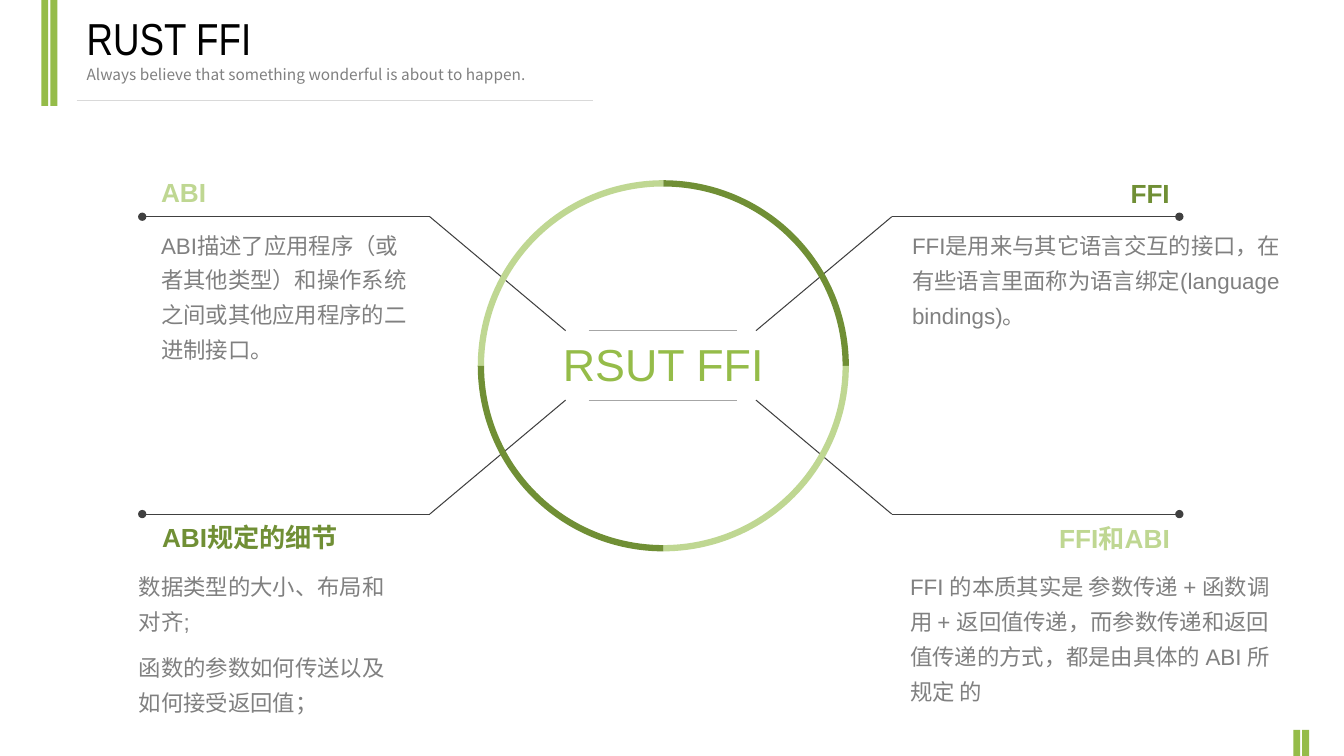
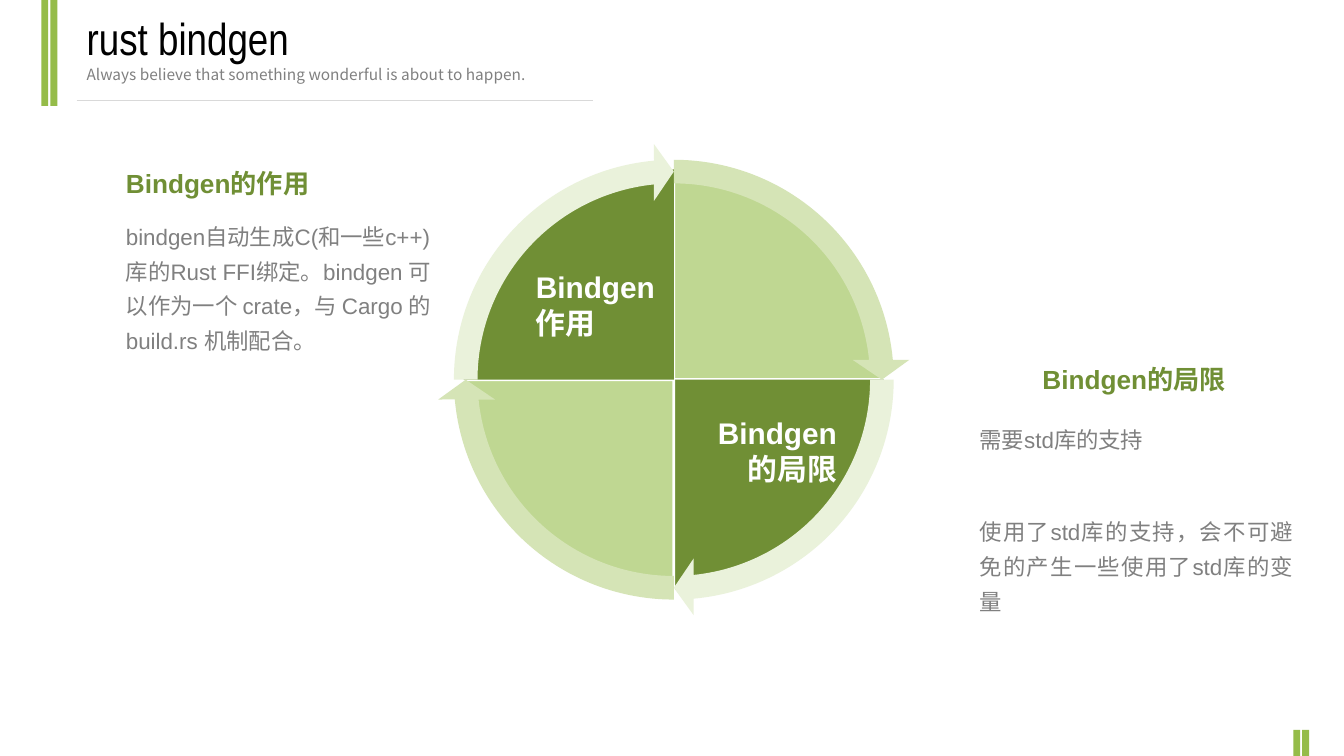
from lxml import etree
from pptx import Presentation
from pptx.dml.color import RGBColor
from pptx.enum.shapes import MSO_CONNECTOR, MSO_SHAPE
from pptx.enum.text import MSO_ANCHOR, PP_ALIGN
from pptx.oxml.ns import qn
from pptx.util import Pt

RECT, ARC, PIE = MSO_SHAPE.RECTANGLE, MSO_SHAPE.ARC, MSO_SHAPE.PIE
CIRCULAR_ARROW = MSO_SHAPE.CIRCULAR_ARROW
STRAIGHT = MSO_CONNECTOR.STRAIGHT
TOP = MSO_ANCHOR.TOP
LEFT, CENTER, RIGHT, JUSTIFY = PP_ALIGN.LEFT, PP_ALIGN.CENTER, PP_ALIGN.RIGHT, PP_ALIGN.JUSTIFY

GREEN, DARK, LIGHT = "95BC49", "708F35", "BFD792"
PALE, PALEST, WHITE, BLACK = "D5E4B6", "EAF2DB", "FFFFFF", "000000"
BODY_GREY, LINE_GREY, RULE_GREY, HEADER_GREY = "808080", "404040", "A6A6A6", "D9D9D9"
SANS, NARROW, CJK = "Arial", "Arial Narrow", "Noto Sans CJK SC"
QUARTER = 54  # a right angle in adjustment units
TAGLINE = "Always\u00a0believe that something\u00a0wonderful is about to happen."


def rgb(color):
    return RGBColor.from_string(color)


class Deck:
    """Holds the style and the current slide."""

    def __init__(self):
        self.prs = Presentation()
        self.prs.slide_width, self.prs.slide_height = Pt(960), Pt(540)
        self.s = None

    def slide(self, title):
        self.s = self.prs.slides.add_slide(self.prs.slide_layouts[5])
        # Bars in the corners and the header rule
        for x, y, h in [(29.5, 0, 75.6), (36, 0, 75.6), (923.8, 521.3, 18.7), (930.2, 521.3, 18.7)]:
            self.shape(RECT, x, y, 5, h, fill=GREEN)
        self.line(54.7, 71.5, 423.4, 71.5, HEADER_GREY)
        # Title and tagline
        sp = self.s.shapes.title
        sp.left, sp.top, sp.width, sp.height = Pt(54.7), Pt(4.3), Pt(624), Pt(46)
        self.set_text(sp.text_frame, [title], 32, BLACK, font=NARROW)
        self.text(54.7, 43.2, 508, [TAGLINE], 11, BODY_GREY, font=CJK)

    def shape(self, kind, x, y, w, h, fill=None, line=None, width=1, adj=()):
        sp = self.s.shapes.add_shape(kind, Pt(x), Pt(y), Pt(w), Pt(h))
        sp.shadow.inherit = False
        for i, value in enumerate(adj):
            sp.adjustments[i] = value
        if fill:
            sp.fill.solid()
            sp.fill.fore_color.rgb = rgb(fill)
        else:
            sp.fill.background()
        if line:
            sp.line.color.rgb = rgb(line)
            sp.line.width = Pt(width)
        else:
            sp.line.fill.background()

    def line(self, x1, y1, x2, y2, color, dot=False):
        sp = self.s.shapes.add_connector(STRAIGHT, Pt(x1), Pt(y1), Pt(x2), Pt(y2))
        sp.line.color.rgb = rgb(color)
        sp.line.width = Pt(0.75)
        props = sp._element.spPr
        if dot:
            etree.SubElement(props.find(qn("a:ln")), qn("a:headEnd"), type="oval")
        etree.SubElement(props, qn("a:effectLst"))

    def set_text(self, tf, lines, size, color, bold=False, align=LEFT, font=SANS,
                 spacing=None, before=0, wrap=True):
        tf.word_wrap = wrap
        tf.vertical_anchor = TOP
        tf.text = "\n".join(lines)
        for p in tf.paragraphs:
            p.alignment = align
            p.line_spacing = spacing
            p.space_before = Pt(before)
            for r in p.runs:
                r.font.size, r.font.bold, r.font.name = Pt(size), bold, font
                r.font.color.rgb = rgb(color)
                etree.SubElement(r._r.get_or_add_rPr(), qn("a:ea"), typeface=CJK)

    def text(self, x, y, w, lines, size, color, h=30, **style):
        sp = self.s.shapes.add_textbox(Pt(x), Pt(y), Pt(w), Pt(h))
        self.set_text(sp.text_frame, lines, size, color, **style)
        return sp.text_frame

    def heading(self, x, y, w, text, color, align=LEFT):
        self.text(x, y, w, [text], 18.7, color, bold=True, align=align)

    def body(self, x, y, w, lines, align=LEFT):
        return self.text(x, y, w, lines, 16, BODY_GREY, h=106,
                         align=align, spacing=1.3, before=8)


def ffi_slide(d):
    d.slide("RUST FFI")

    # Leader lines, mirrored about the centre
    cx, cy = 472, 261
    for side in (-1, 1):
        for end in (-1, 1):
            elbow = cx + side * 165, cy + end * 106.2
            d.line(cx + side * 370.4, elbow[1], *elbow, LINE_GREY, dot=True)
            d.line(*elbow, cx + side * 68, cy + end * 24.8, LINE_GREY)

    # Ring of four arcs, from the upper left clockwise
    for i, color in enumerate([LIGHT, DARK, LIGHT, DARK]):
        start = (2 + i) % 4 * QUARTER
        d.shape(ARC, 343.5, 131, 260.6, 260.6, line=color, width=4.5,
                adj=(start, (start + QUARTER) % 216))

    # Centre label between two rules
    for y in (236.2, 285.8):
        d.line(420.5, y, 526.3, y, RULE_GREY)
    d.text(393.8, 236.9, 160, ["RSUT FFI"], 32, GREEN, h=46, align=CENTER, wrap=False)

    # Four topics
    d.heading(108, 122.4, 235, "ABI", LIGHT)
    d.body(108, 156.2, 198.7, ["ABI描述了应用程序（或者其他类型）和操作系统之间或其他应用程序的二进制接口。"])
    d.heading(108.7, 368.6, 235, "ABI规定的细节", DARK)
    d.body(92.2, 400.3, 198.7, ["数据类型的大小、布局和对齐;", "函数的参数如何传送以及如何接受返回值；"])
    d.heading(607.7, 123.1, 235, "FFI", DARK, RIGHT)
    d.body(644.4, 156.6, 281.5,
           ["FFI是用来与其它语言交互的接口，在有些语言里面称为语言绑定(language bindings)。"])
    d.heading(607.7, 369.4, 235, "FFI和ABI", LIGHT, RIGHT)
    d.body(643, 400, 281.5, ["FFI 的本质其实是 参数传递 + 函数调用 + 返回值传递，"
                             "而参数传递和返回值传递的方式，都是由具体的 ABI 所规定 的"])


def bindgen_slide(d):
    d.slide("rust bindgen")

    # Four quarters, then the arrows around them, from the upper right clockwise
    cx, cy, radius, reach = 481.3, 271.2, 150.1, 168.9
    starts = [3 * QUARTER, 0, QUARTER, 2 * QUARTER]
    for start, fill, line in zip(starts, [LIGHT, DARK] * 2, [WHITE, None] * 2):
        d.shape(PIE, cx - radius, cy - radius, 2 * radius, 2 * radius, fill, line, 2,
                adj=(start, (start + QUARTER) % 216))
    for start, fill in zip(starts, [PALE, PALEST] * 2):
        d.shape(CIRCULAR_ARROW, cx - reach, cy - reach, 2 * reach, 2 * reach, fill,
                adj=(0.05, 3.28, start + QUARTER - 3.28, start, 0.06))

    # Labels on the dark quarters
    d.text(375.8, 188.6, 105.1, ["Bindgen作用"], 21.3, WHITE, h=59, bold=True)
    d.text(500.4, 293, 104.4, ["Bindgen的局限"], 21.3, WHITE, h=85, bold=True, align=RIGHT)

    # Purpose and limits
    d.heading(82.8, 115.9, 238.3, "Bindgen的作用", DARK)
    d.body(82.8, 149.8, 238.3, ["bindgen自动生成C(和一些c++)库的Rust FFI绑定。"
                                "bindgen 可以作为一个 crate，与 Cargo 的 build.rs 机制配合。"])
    d.heading(644.4, 256.3, 238.3, "Bindgen的局限", DARK, RIGHT)
    tf = d.body(692.6, 295.2, 238.3, ["需要std库的支持", "使用了std库的支持，会不可避免的产生一些使用了std库的变量"],
                JUSTIFY)
    tf.paragraphs[1].space_before = Pt(41)


def main():
    d = Deck()
    ffi_slide(d)
    bindgen_slide(d)
    d.prs.save("out.pptx")


if __name__ == "__main__":
    main()
